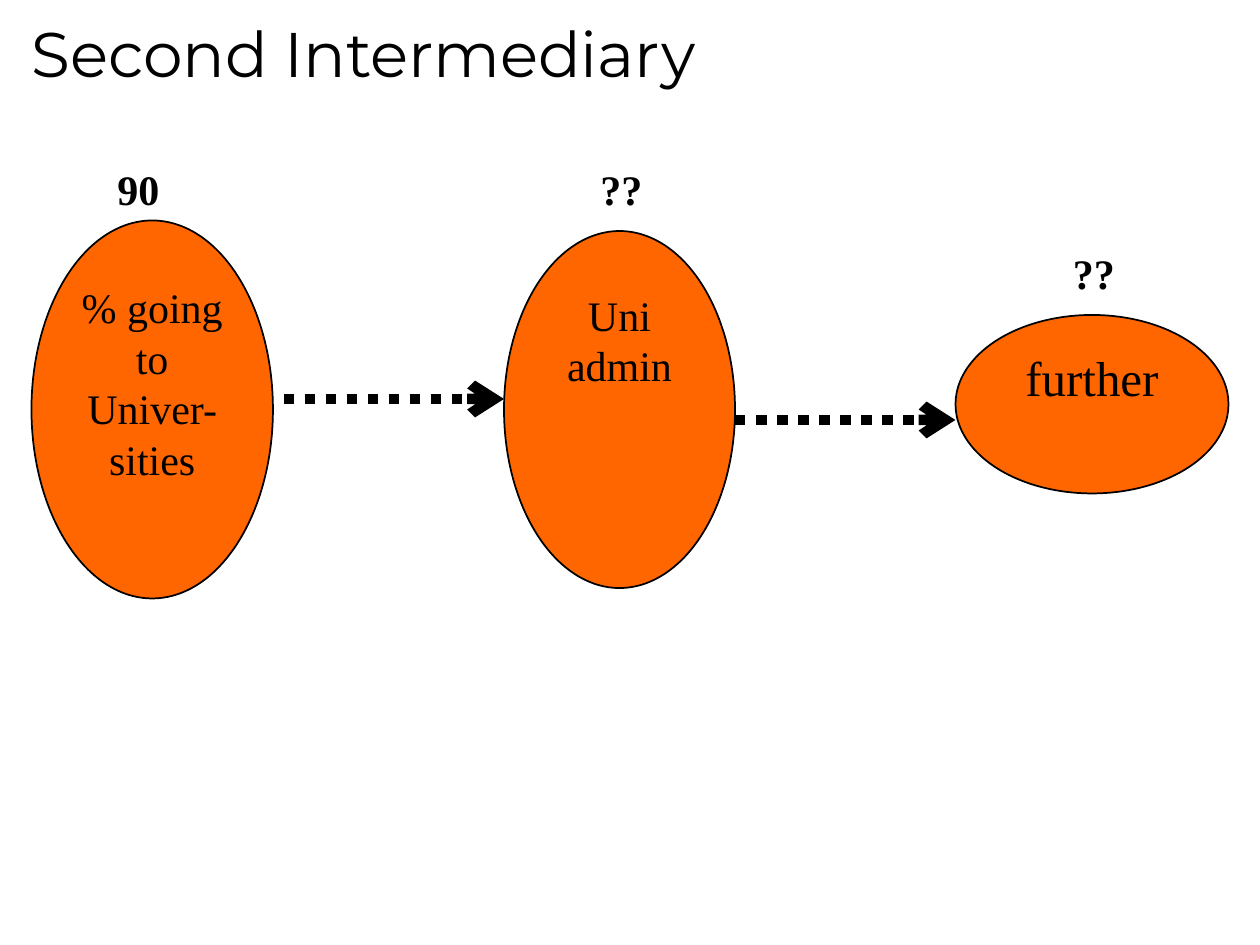
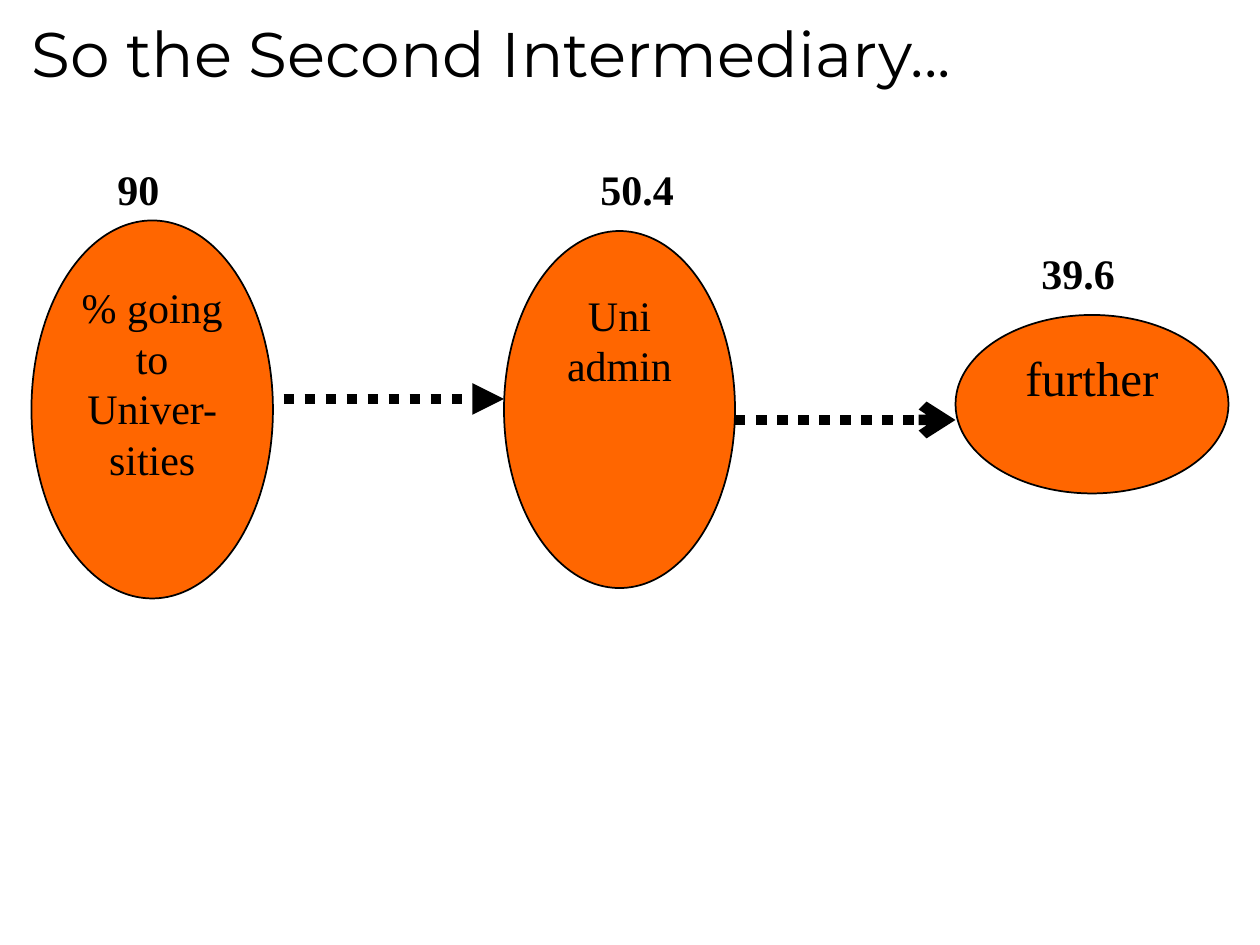
from dataclasses import dataclass

from lxml.etree import SubElement
from pptx import Presentation
from pptx.dml.color import RGBColor
from pptx.enum.dml import MSO_LINE
from pptx.enum.shapes import MSO_CONNECTOR, MSO_SHAPE
from pptx.enum.text import MSO_ANCHOR, PP_ALIGN
from pptx.oxml.ns import qn
from pptx.util import Emu, Pt

PX = 7620  # 120 px to the inch


def px(*lengths):
    return [Emu(n * PX) for n in lengths]


def style(target, formats):
    for name, value in formats.items():
        setattr(target, name, value)


@dataclass(frozen=True)
class Theme:
    ink: RGBColor = RGBColor(0, 0, 0)
    orange: RGBColor = RGBColor(0xFF, 0x66, 0x00)
    title_font: str = "Montserrat"
    body_font: str = "Times New Roman"
    title_size: int = 36
    body_size: int = 24
    large_size: int = 28
    outline: int = 1
    arrow: int = 6
    leading: float = 1.2


class Deck:
    """Holds the theme and the slide being drawn."""

    def __init__(self, theme):
        self.theme = theme
        self.prs = Presentation()
        self.prs.slide_width, self.prs.slide_height = px(1200, 900)
        self.s = None

    def add_slide(self, title):
        self.s = self.prs.slides.add_slide(self.prs.slide_layouts[6])
        self.title(title)

    def put_lines(self, tf, lines, font, align=PP_ALIGN.LEFT, spacing=None):
        for i, line in enumerate(lines):
            p = tf.paragraphs[0] if i == 0 else tf.add_paragraph()
            style(p, {"alignment": align, "line_spacing": spacing})
            r = p.add_run()
            r.text = line
            style(r.font, font)
            r.font.color.rgb = self.theme.ink

    def body(self, tf, lines, size, bold=False, align=PP_ALIGN.LEFT):
        font = {"name": self.theme.body_font, "size": Pt(size), "bold": bold}
        self.put_lines(tf, lines, font, align, Pt(size * self.theme.leading))

    def title(self, text):
        tf = self.s.shapes.add_textbox(*px(20, 20, 1020, 70)).text_frame
        side, edge = px(10, 4)
        style(tf, {"word_wrap": True, "vertical_anchor": MSO_ANCHOR.BOTTOM,
                   "margin_left": side, "margin_right": side,
                   "margin_top": edge, "margin_bottom": edge})
        self.put_lines(tf, [text], {"name": self.theme.title_font,
                                    "size": Pt(self.theme.title_size)})

    def label(self, text, x, y, width):
        tf = self.s.shapes.add_textbox(*px(x, y, width, 60)).text_frame
        tf.word_wrap = False
        self.body(tf, [text], self.theme.body_size, bold=True)

    def ellipse(self, lines, box, size):
        sp = self.s.shapes.add_shape(MSO_SHAPE.OVAL, *px(*box))
        sp.shadow.inherit = False
        sp.fill.solid()
        sp.fill.fore_color.rgb = self.theme.orange
        sp.line.color.rgb = self.theme.ink
        sp.line.width = Pt(self.theme.outline)
        tf = sp.text_frame
        style(tf, {"word_wrap": True, "vertical_anchor": MSO_ANCHOR.TOP})
        self.body(tf, lines, size, align=PP_ALIGN.CENTER)

    def arrow(self, start, end, head):
        connector = self.s.shapes.add_connector(MSO_CONNECTOR.STRAIGHT,
                                                *px(*start, *end))
        connector.line.color.rgb = self.theme.ink
        style(connector.line, {"width": Pt(self.theme.arrow),
                               "dash_style": MSO_LINE.ROUND_DOT})
        properties = connector.element.spPr
        SubElement(properties.find(qn("a:ln")), qn("a:tailEnd"), type=head)
        SubElement(properties, qn("a:effectLst"))

    def flow(self, title, first_head, admin, further):
        """Draw one slide of the flow; admin and further are (text, x, width)."""
        t = self.theme
        self.add_slide(title)
        self.ellipse(["% going", "to", "Univer-", "sities"],
                     (30, 210, 230, 360), t.body_size)
        self.label("90", 100, 150, 100)
        self.arrow((270, 380), (480, 380), first_head)
        self.arrow((700, 400), (910, 400), "arrow")
        self.ellipse(["further"], (910, 300, 260, 170), t.large_size)
        self.ellipse(["Uni admin"], (480, 220, 220, 340), t.body_size)
        for (text, x, width), y in ((admin, 150), (further, 230)):
            self.label(text, x, y, width)


def main():
    deck = Deck(Theme())
    deck.flow("Second Intermediary", "arrow",
              ("??", 560, 64), ("??", 1010, 64))
    deck.flow("So the Second Intermediary...", "triangle",
              ("50.4", 560, 94), ("39.6", 980, 94))
    deck.prs.save("out.pptx")


if __name__ == "__main__":
    main()
